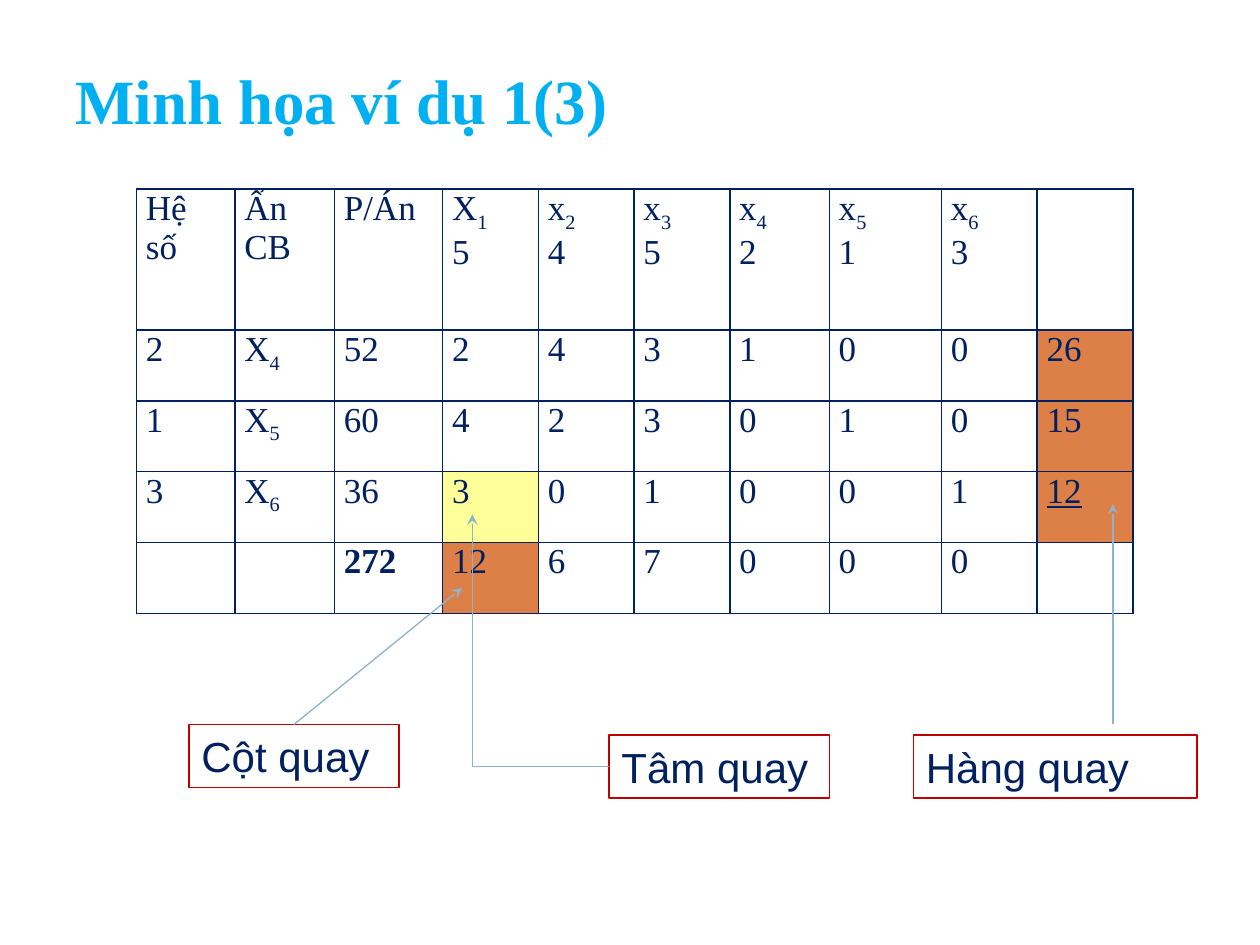
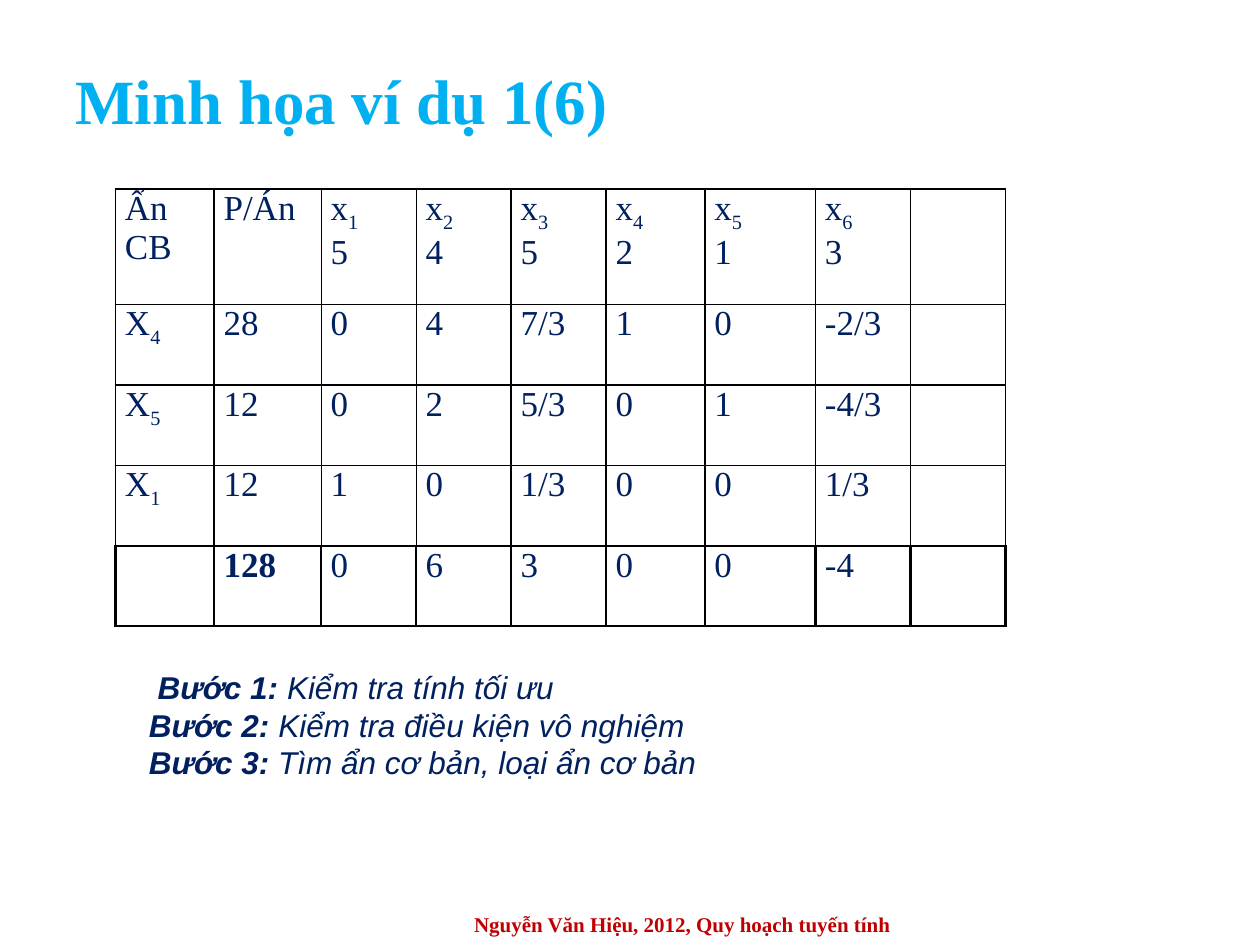
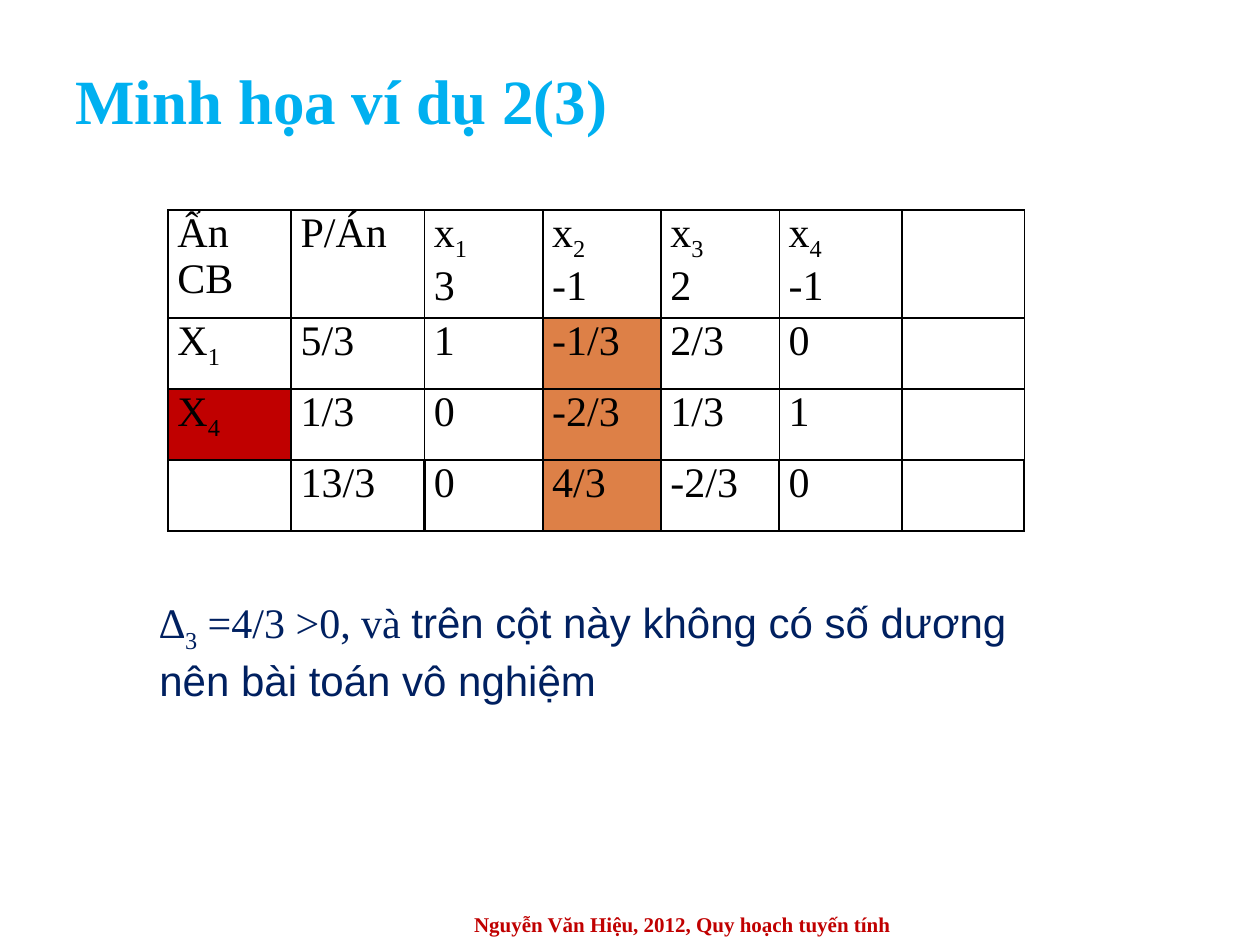
from lxml.etree import SubElement
from pptx import Presentation
from pptx.dml.color import RGBColor
from pptx.enum.shapes import MSO_CONNECTOR, MSO_SHAPE
from pptx.enum.text import MSO_ANCHOR, PP_ALIGN
from pptx.oxml.ns import qn
from pptx.util import Pt

SERIF, SANS = "Times New Roman", "Arial"
SKY, NAVY, BLACK, RED = "00B0F0", "002060", "000000", "C00000"
ORANGE, YELLOW, STEEL = "DD8047", "FFFF99", "8FB2CF"
FOOTER = "Nguyễn Văn Hiệu, 2012, Quy hoạch tuyến tính"


def color(hex_string):
    return RGBColor.from_string(hex_string)


def add_run(paragraph, text, size, hex_color, font=SERIF, bold=False,
            italic=False, underline=False, subscript=False):
    run = paragraph.add_run()
    run.text = text
    run.font.name, run.font.size = font, Pt(size)
    run.font.color.rgb = color(hex_color)
    run.font.bold, run.font.italic, run.font.underline = bold, italic, underline
    if subscript:
        run._r.get_or_add_rPr().set("baseline", "-25000")


def write_lines(frame, lines, size, hex_color, align=PP_ALIGN.LEFT):
    """Write one paragraph per line; a line is a list of (text, run style)."""
    frame.word_wrap = True
    for index, line in enumerate(lines):
        paragraph = frame.add_paragraph() if index else frame.paragraphs[0]
        paragraph.alignment = align
        for text, style in line:
            add_run(paragraph, text, size, hex_color, **style)


def add_text(slide, box, lines, size, hex_color, align=PP_ALIGN.LEFT,
             anchor=MSO_ANCHOR.TOP):
    shape = slide.shapes.add_textbox(*map(Pt, box))
    shape.text_frame.vertical_anchor = anchor
    write_lines(shape.text_frame, lines, size, hex_color, align)


def add_titled_slide(presentation, title, footer=True):
    slide = presentation.slides.add_slide(presentation.slide_layouts[6])
    add_text(slide, (36, 30, 648, 54), [[(title, {"bold": True})]], 36, SKY,
             anchor=MSO_ANCHOR.MIDDLE)
    if footer:
        add_text(slide, (210, 516, 360, 24), [[(FOOTER, {"bold": True})]], 12,
                 RED, PP_ALIGN.CENTER, MSO_ANCHOR.MIDDLE)
    return slide


def set_borders(cell, hex_color, widths):
    properties = cell._tc.get_or_add_tcPr()
    for side, width in zip("LRTB", widths):
        line = SubElement(properties, qn(f"a:ln{side}"), w=str(Pt(width)))
        fill = SubElement(line, qn("a:solidFill"))
        SubElement(fill, qn("a:srgbClr"), val=hex_color)


def cell_lines(content, style):
    """Split a cell into lines, with what follows an underscore as subscript."""
    lines = []
    for line in content.split("\n"):
        base, _, index = line.partition("_")
        runs = [(base, style)]
        if index:
            runs.append((index, {"subscript": True}))
        lines.append(runs)
    return lines


def add_simplex_table(slide, left, top, widths, heights, rows, size, text_color,
                      line_color, fills, styles=None, thick_total=True):
    """fills and styles are keyed by (row, column)."""
    frame = slide.shapes.add_table(len(rows), len(widths), Pt(left), Pt(top),
                                   Pt(sum(widths)), Pt(sum(heights)))
    table = frame.table
    table.first_row = table.horz_banding = False
    for column, width in zip(table.columns, widths):
        column.width = Pt(width)
    for row, height in zip(table.rows, heights):
        row.height = Pt(height)
    last = len(rows) - 1
    for r, row in enumerate(rows):
        side = 1.5 if thick_total and r == last else 1
        bottom = 1.5 if thick_total and r >= last - 1 else 1
        for c, content in enumerate(row):
            cell = table.cell(r, c)
            cell.margin_left = cell.margin_right = Pt(5.4)
            cell.margin_top = cell.margin_bottom = Pt(0)
            set_borders(cell, line_color, (side, side, side, bottom))
            if (r, c) in fills:
                cell.fill.solid()
                cell.fill.fore_color.rgb = color(fills[r, c])
            else:
                cell.fill.background()
            if content:
                style = (styles or {}).get((r, c), {})
                write_lines(cell.text_frame, cell_lines(content, style), size,
                            text_color, PP_ALIGN.JUSTIFY)


def add_label(slide, box, text):
    shape = slide.shapes.add_shape(MSO_SHAPE.RECTANGLE, *map(Pt, box))
    shape.shadow.inherit = False
    shape.fill.background()
    shape.line.color.rgb = color(RED)
    shape.line.width = Pt(0.75)
    shape.text_frame.vertical_anchor = MSO_ANCHOR.TOP
    write_lines(shape.text_frame, [[(text, {"font": SANS})]], 24, NAVY)
    return shape


def add_arrow(slide, kind, start, end):
    connector = slide.shapes.add_connector(kind, *map(Pt, start + end))
    connector.line.color.rgb = color(STEEL)
    connector.line.width = Pt(0.75)
    SubElement(connector.line._get_or_add_ln(), qn("a:tailEnd"), type="stealth")
    SubElement(connector._element.spPr, qn("a:effectLst"))
    return connector


def add_pivot_labels(slide):
    add_label(slide, (522, 420, 162, 36), "Hàng quay")
    column_label = add_label(slide, (108, 414, 120, 36), "Cột quay")
    add_label(slide, (348, 420, 126, 36), "Tâm quay")
    add_arrow(slide, MSO_CONNECTOR.CURVE, (636, 414), (636, 288))
    center_arrow = add_arrow(slide, MSO_CONNECTOR.ELBOW, (348, 438), (270, 294))
    geometry = center_arrow._element.spPr.find(qn("a:prstGeom"))
    geometry.set("prst", "bentConnector2")  # a single corner
    column_arrow = add_arrow(slide, MSO_CONNECTOR.STRAIGHT, (168, 414), (264, 336))
    column_arrow.begin_connect(column_label, 0)


def build_pivot_slide(presentation):
    slide = add_titled_slide(presentation, "Minh họa ví dụ 1(3)", footer=False)
    rows = [
        ["Hệ số", "Ẩn CB", "P/Án", "X_1\n5", "x_2\n4", "x_3\n5", "x_4\n2",
         "x_5\n1", "x_6\n3", ""],
        ["2", "X_4", "52", "2", "4", "3", "1", "0", "0", "26"],
        ["1", "X_5", "60", "4", "2", "3", "0", "1", "0", "15"],
        ["3", "X_6", "36", "3", "0", "1", "0", "0", "1", "12"],
        ["", "", "272", "12", "6", "7", "0", "0", "0", ""],
    ]
    fills = {(row, 9): ORANGE for row in (1, 2, 3)}
    fills.update({(3, 3): YELLOW, (4, 3): ORANGE})
    add_simplex_table(
        slide, 78, 108, [56.2, 56.9, 61.9] + [54.7] * 3 + [56.9, 64.1] + [54.7] * 2,
        [80.6] + [40.5] * 4, rows, 20, NAVY, NAVY, fills,
        {(3, 9): {"underline": True}, (4, 2): {"bold": True}}, thick_total=False)
    add_pivot_labels(slide)


def build_steps_slide(presentation):
    slide = add_titled_slide(presentation, "Minh họa ví dụ 1(6)")
    rows = [
        ["Ẩn CB", "P/Án", "x_1\n5", "x_2\n4", "x_3\n5", "x_4\n2", "x_5\n1",
         "x_6\n3", ""],
        ["X_4", "28", "0", "4", "7/3", "1", "0", "-2/3", ""],
        ["X_5", "12", "0", "2", "5/3", "0", "1", "-4/3", ""],
        ["X_1", "12", "1", "0", "1/3", "0", "0", "1/3", ""],
        ["", "128", "0", "6", "3", "0", "0", "-4", ""],
    ]
    add_simplex_table(
        slide, 66, 108, [56.4, 61.2] + [54.3] * 3 + [56.4, 63.2] + [54.3] * 2,
        [66] + [46] * 4, rows, 20, NAVY, BLACK, {}, {(4, 1): {"bold": True}})
    plain = {"font": SANS, "italic": True}
    strong = {**plain, "bold": True}
    steps = [(" Bước 1: ", "Kiểm tra tính tối ưu"),
             ("Bước 2: ", "Kiểm tra điều kiện vô nghiệm"),
             ("Bước 3:", " Tìm ẩn cơ bản, loại ẩn cơ bản")]
    add_text(slide, (78, 378, 468, 94.3),
             [[(name, strong), (task, plain)] for name, task in steps], 18, NAVY)


def build_unbounded_slide(presentation):
    slide = add_titled_slide(presentation, "Minh họa ví dụ 2(3)")
    rows = [
        ["Ẩn CB", "P/Án", "x_1\n3", "x_2\n-1", "x_3\n2", "x_4\n-1", ""],
        ["X_1", "5/3", "1", "-1/3", "2/3", "0", ""],
        ["X_4", "1/3", "0", "-2/3", "1/3", "1", ""],
        ["", "13/3", "0", "4/3", "-2/3", "0", ""],
    ]
    fills = {(row, 3): ORANGE for row in (1, 2, 3)}
    fills[2, 0] = RED
    add_simplex_table(slide, 96, 120, [70.4, 76.2] + [67.6] * 3 + [70] * 2,
                      [57.6] + [40.7] * 3, rows, 24, BLACK, BLACK, fills)
    sans = {"font": SANS}
    conclusion = [
        [("∆", {}), ("3", {"subscript": True}), (" =4/3 >0, và ", {}),
         ("trên cột này không có số dương ", sans)],
        [("nên bài toán vô nghiệm", sans)],
    ]
    add_text(slide, (84, 339, 588, 65.5), conclusion, 24, NAVY,
             PP_ALIGN.JUSTIFY, MSO_ANCHOR.MIDDLE)


def main():
    presentation = Presentation()
    presentation.slide_width, presentation.slide_height = Pt(720), Pt(540)
    build_pivot_slide(presentation)
    build_steps_slide(presentation)
    build_unbounded_slide(presentation)
    presentation.save("out.pptx")


if __name__ == "__main__":
    main()
